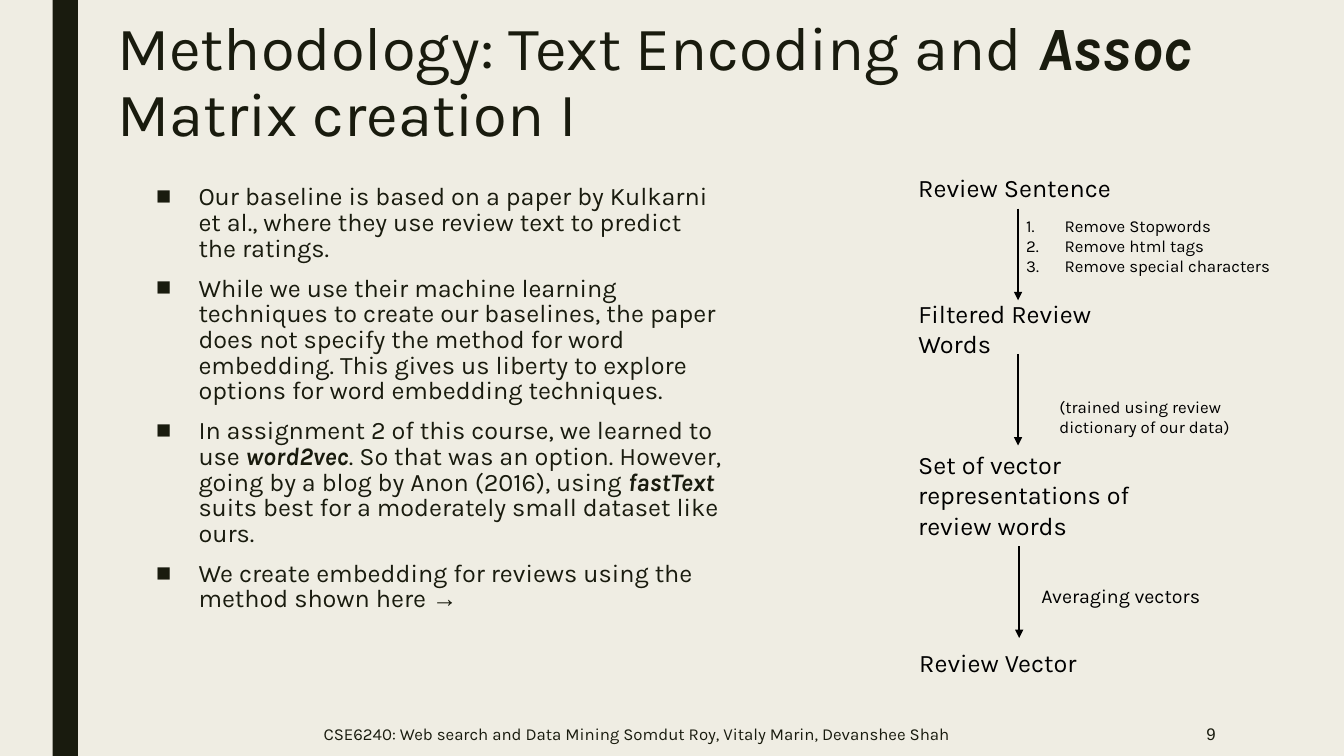
from dataclasses import dataclass
from lxml import etree
from pptx import Presentation
from pptx.dml.color import RGBColor
from pptx.enum.shapes import MSO_CONNECTOR, MSO_SHAPE
from pptx.enum.text import MSO_ANCHOR, PP_ALIGN
from pptx.oxml.ns import qn
from pptx.util import Pt

STRAIGHT = MSO_CONNECTOR.STRAIGHT
RECT = MSO_SHAPE.RECTANGLE
TOP, MIDDLE = MSO_ANCHOR.TOP, MSO_ANCHOR.MIDDLE
LEFT, RIGHT = PP_ALIGN.LEFT, PP_ALIGN.RIGHT
INK, BLACK, PAPER = "191B0E", "000000", "EFEDE3"
STRONG = {"bold": True, "italic": True}
ARIAL = {"name": "Arial"}


@dataclass
class TextBox:
    left: float
    top: float
    width: float
    height: float
    # Each paragraph is a list of (text, format values) runs
    paragraphs: list
    size: float
    color: str = BLACK
    anchor: MSO_ANCHOR = TOP
    align: PP_ALIGN = LEFT
    wrap: bool = True
    line_spacing: float = 1.0
    space_before: float = 0
    indent: float = 0
    bullet: str = ""


@dataclass
class Arrow:
    x: float
    top: float
    length: float = 65.5


def rgb(value: str) -> RGBColor:
    return RGBColor.from_string(value)


def plain(*texts: str) -> list:
    return [[(text, {})] for text in texts]


def add_bullet(p, bullet: str, indent: float) -> None:
    pPr = p._p.get_or_add_pPr()
    pPr.set("marL", str(Pt(indent)))
    pPr.set("indent", str(-Pt(indent)))
    if bullet == "1.":
        etree.SubElement(pPr, qn("a:buFont"), typeface="Karla")
        etree.SubElement(pPr, qn("a:buAutoNum"), type="arabicPeriod")
    else:
        etree.SubElement(pPr, qn("a:buFont"), typeface="Arial")
        etree.SubElement(pPr, qn("a:buChar"), char=bullet)


def draw_text(s, box: TextBox) -> None:
    sp = s.shapes.add_textbox(Pt(box.left), Pt(box.top), Pt(box.width), Pt(box.height))
    tf = sp.text_frame
    frame = {"word_wrap": box.wrap, "vertical_anchor": box.anchor}
    frame.update({f"margin_{side}": Pt(3.6) for side in ("left", "right", "top", "bottom")})
    for key, value in frame.items():
        setattr(tf, key, value)
    for i, runs in enumerate(box.paragraphs):
        p = tf.add_paragraph() if i else tf.paragraphs[0]
        p.alignment = box.align
        p.line_spacing = box.line_spacing
        p.space_before = Pt(box.space_before if i else 0)
        if box.bullet:
            add_bullet(p, box.bullet, box.indent)
        for text, extra in runs:
            r = p.add_run()
            r.text = text
            for key, value in {"name": "Karla", "size": Pt(box.size), **extra}.items():
                setattr(r.font, key, value)
            r.font.color.rgb = rgb(box.color)


def draw_arrow(s, arrow: Arrow) -> None:
    x = Pt(arrow.x)
    line = s.shapes.add_connector(STRAIGHT, x, Pt(arrow.top), x, Pt(arrow.top + arrow.length))
    line.line.width = Pt(1.5)
    line.line.color.rgb = rgb(BLACK)
    etree.SubElement(line.line._get_or_add_ln(), qn("a:tailEnd"), type="triangle")
    etree.SubElement(line._element.spPr, qn("a:effectLst"))


# Title, footer and page number
FRAME = [
    TextBox(80, 9.4, 855, 115, [[("Methodology: Text Encoding and ", {}), ("Assoc", STRONG),
                                 (" Matrix creation I", {})]],
            44, INK, line_spacing=0.89),
    TextBox(227.5, 513.4, 494.6, 20.9,
            plain("CSE6240: Web search and Data Mining Somdut Roy, Vitaly Marin, Devanshee Shah"),
            12, INK, MIDDLE),
    TextBox(856.8, 513.4, 15.1, 20.9, [[("9", ARIAL)]], 12, INK, MIDDLE, RIGHT, wrap=False),
]

# Bulleted explanation on the left
BODY = TextBox(108, 128.9, 411, 333.4, [
    *plain("Our baseline is based on a paper by Kulkarni et al., where they use review text "
           "to predict the ratings.",
           "While we use their machine learning techniques to create our baselines, the paper "
           "does not specify the method for word embedding. This gives us liberty to explore "
           "options for word embedding techniques."),
    [("In assignment 2 of this course, we learned to use ", {}), ("word2vec", STRONG),
     (". So that was an option. However, going by a blog by Anon (2016), using ", {}),
     ("fastText", STRONG), (" suits best for a moderately small dataset like ours.", {})],
    [("We create embedding for reviews using the method shown here ", {}), ("→", ARIAL)],
], 18, INK, line_spacing=0.85, space_before=10, indent=30.2, bullet="■")

# Stages of the flow on the right, with the notes beside the arrows
FLOW = [
    TextBox(652.3, 119.5, 150, 29, plain("Review Sentence"), 18),
    TextBox(652.3, 209.5, 176.4, 50.4, plain("Filtered Review Words"), 18),
    TextBox(652.3, 317.5, 200, 72.7, plain("Set of vector representations of review words"), 18),
    TextBox(653, 458.6, 150, 29, plain("Review Vector"), 18),
    TextBox(729.4, 150.5, 184.3, 49,
            plain("Remove Stopwords", "Remove html tags", "Remove special characters"),
            12, indent=27.4, bullet="1."),
    TextBox(753.1, 280, 136.8, 34.6, plain("(trained using review dictionary of our data)"), 12),
    TextBox(740.2, 413.3, 176.4, 23, plain("Averaging vectors"), 14),
]
ARROWS = [Arrow(727.2, 149), Arrow(727.2, 252.7), Arrow(728, 390.2)]


def main() -> None:
    prs = Presentation()
    prs.slide_width, prs.slide_height = Pt(960), Pt(540)
    s = prs.slides.add_slide(prs.slide_layouts[6])
    s.background.fill.solid()
    s.background.fill.fore_color.rgb = rgb(PAPER)

    # Dark stripe at the left edge
    stripe = s.shapes.add_shape(RECT, Pt(37.6), Pt(0), Pt(18), Pt(540))
    stripe.shadow.inherit = False
    stripe.fill.solid()
    stripe.fill.fore_color.rgb = rgb(INK)
    stripe.line.fill.background()

    for box in [*FRAME, BODY, *FLOW]:
        draw_text(s, box)
    for arrow in ARROWS:
        draw_arrow(s, arrow)
    prs.save("out.pptx")


if __name__ == "__main__":
    main()
